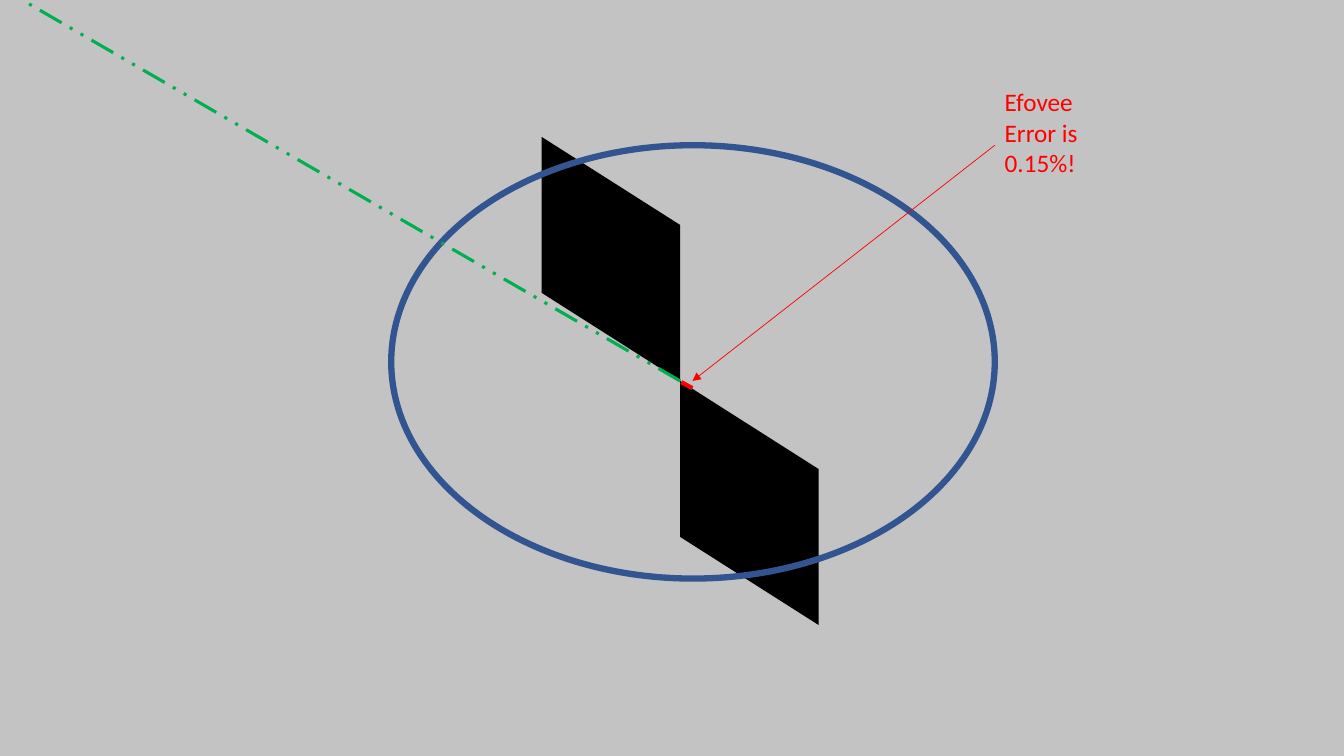
from typing import NamedTuple, Optional

from lxml import etree
from pptx import Presentation
from pptx import util as u
from pptx.dml.color import RGBColor
from pptx.enum import dml, shapes
from pptx.oxml import ns

GREY = RGBColor(0xC3, 0xC3, 0xC4)
BLACK = RGBColor(0x00, 0x00, 0x00)
BLUE = RGBColor(0x32, 0x54, 0x91)
GREEN = RGBColor(0x00, 0xB0, 0x50)
RED = RGBColor(0xFF, 0x00, 0x00)

CENTER_X, CENTER_Y = 17.14, 9.6
PANEL_WIDTH, PANEL_DROP, PANEL_HEIGHT = 3.49, 2.22, 3.93


class Panel(NamedTuple):
    """Top left corner of a slanted black panel, in centimetres."""
    left: float
    top: float


class Stroke(NamedTuple):
    """Straight line with ends in centimetres and width in points."""
    start: tuple[float, float]
    end: tuple[float, float]
    color: RGBColor
    width: float
    dash: Optional[dml.MSO_LINE] = None
    arrow: bool = False


PANELS = [
    Panel(CENTER_X - PANEL_WIDTH, CENTER_Y - PANEL_DROP - PANEL_HEIGHT),
    Panel(CENTER_X, CENTER_Y),
]
STROKES = [
    Stroke((CENTER_X, CENTER_Y), (0.56, 0), GREEN, 2.25,
           dash=dml.MSO_LINE.DASH_DOT_DOT),
    Stroke((17.45, 9.78), (17.17, 9.63), RED, 3),
    Stroke((25.07, 3.66), (17.45, 9.6), RED, 0.5, arrow=True),
]


def draw_panel(slide, panel: Panel) -> None:
    right, low = panel.left + PANEL_WIDTH, panel.top + PANEL_DROP
    corners = [
        (right, low),
        (right, low + PANEL_HEIGHT),
        (panel.left, panel.top + PANEL_HEIGHT),
    ]
    builder = slide.shapes.build_freeform(u.Cm(panel.left), u.Cm(panel.top))
    builder.add_line_segments([(u.Cm(x), u.Cm(y)) for x, y in corners])
    shape = builder.convert_to_shape()
    shape.shadow.inherit = False
    shape.fill.solid()
    shape.fill.fore_color.rgb = BLACK
    shape.line.fill.background()


def draw_ring(slide) -> None:
    ring = slide.shapes.add_shape(
        shapes.MSO_SHAPE.OVAL,
        u.Cm(9.86), u.Cm(3.66), u.Cm(15.21), u.Cm(10.92))
    ring.shadow.inherit = False
    ring.fill.background()
    ring.line.color.rgb = BLUE
    ring.line.width = u.Pt(4.5)


def draw_stroke(slide, stroke: Stroke) -> None:
    ends = [u.Cm(value) for value in stroke.start + stroke.end]
    connector = slide.shapes.add_connector(
        shapes.MSO_CONNECTOR.STRAIGHT, *ends)
    connector.line.color.rgb = stroke.color
    connector.line.width = u.Pt(stroke.width)
    if stroke.dash is not None:
        connector.line.dash_style = stroke.dash
    if stroke.arrow:
        outline = connector.line._get_or_add_ln()
        etree.SubElement(outline, ns.qn("a:tailEnd"), type="triangle")
    etree.SubElement(connector._element.spPr, ns.qn("a:effectLst"))


def draw_label(slide) -> None:
    box = slide.shapes.add_textbox(
        u.Cm(25.07), u.Cm(2.06), u.Cm(2.54), u.Cm(2.57))
    frame = box.text_frame
    frame.word_wrap = True
    frame.text = "Efovee Error is 0.15%!"
    font = frame.paragraphs[0].runs[0].font
    font.name = "Calibri"
    font.size = u.Pt(18)
    font.color.rgb = RED


def main() -> None:
    deck = Presentation()
    deck.slide_width, deck.slide_height = u.Cm(33.87), u.Cm(19.05)
    slide = deck.slides.add_slide(deck.slide_layouts[6])
    slide.background.fill.solid()
    slide.background.fill.fore_color.rgb = GREY
    for panel in PANELS:
        draw_panel(slide, panel)
    draw_ring(slide)
    for stroke in STROKES:
        draw_stroke(slide, stroke)
    draw_label(slide)
    deck.save("out.pptx")


if __name__ == "__main__":
    main()
